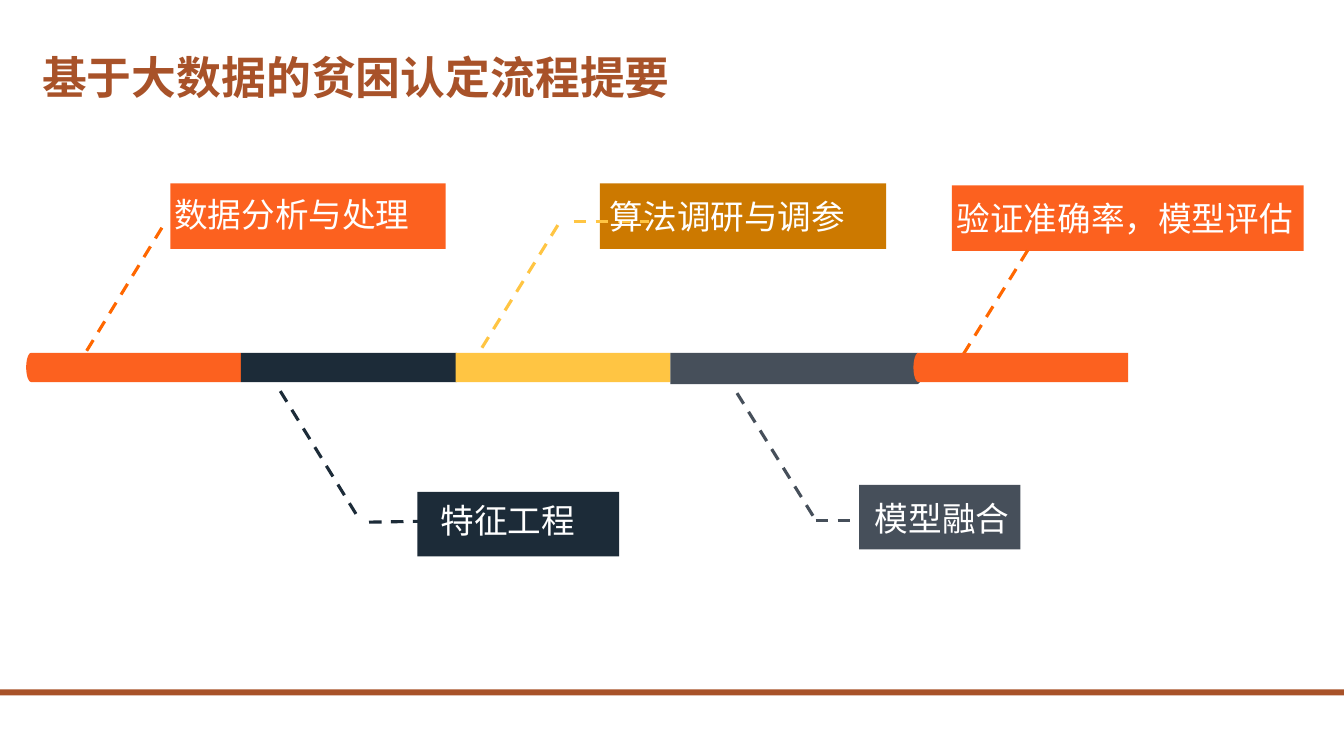
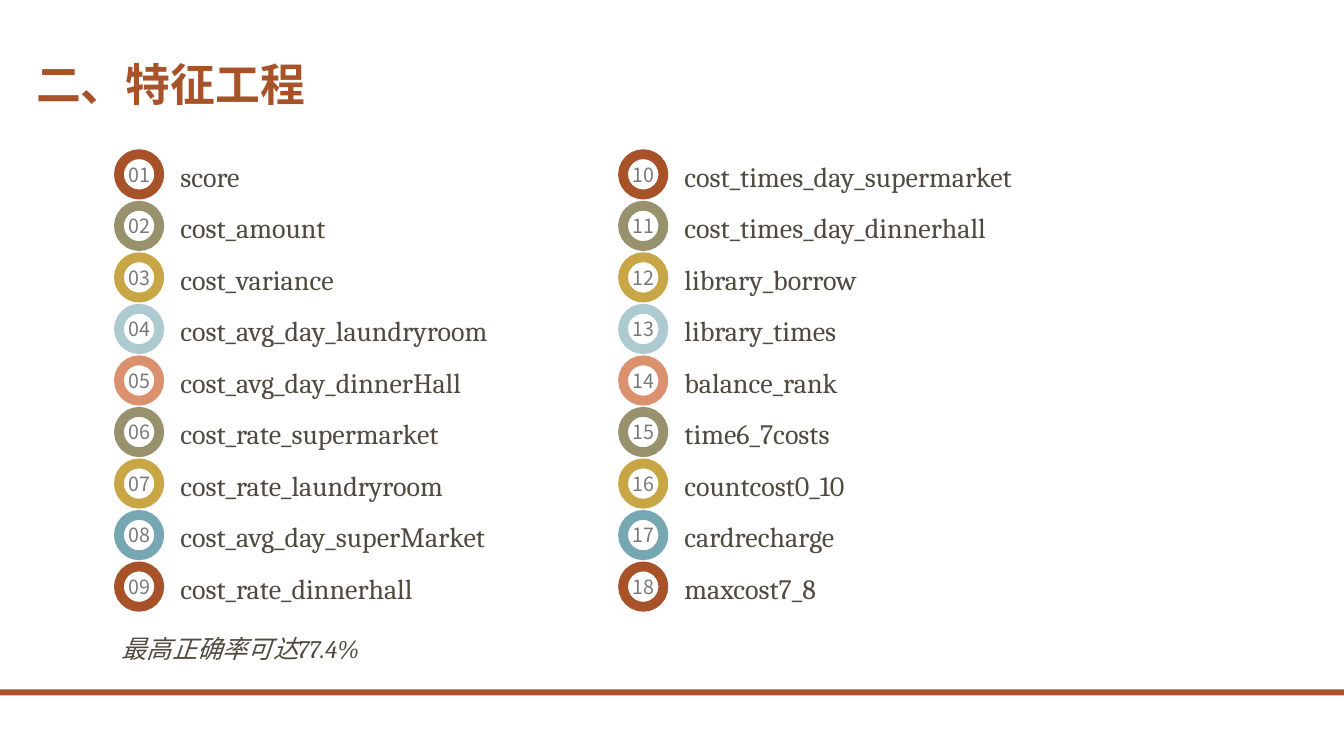
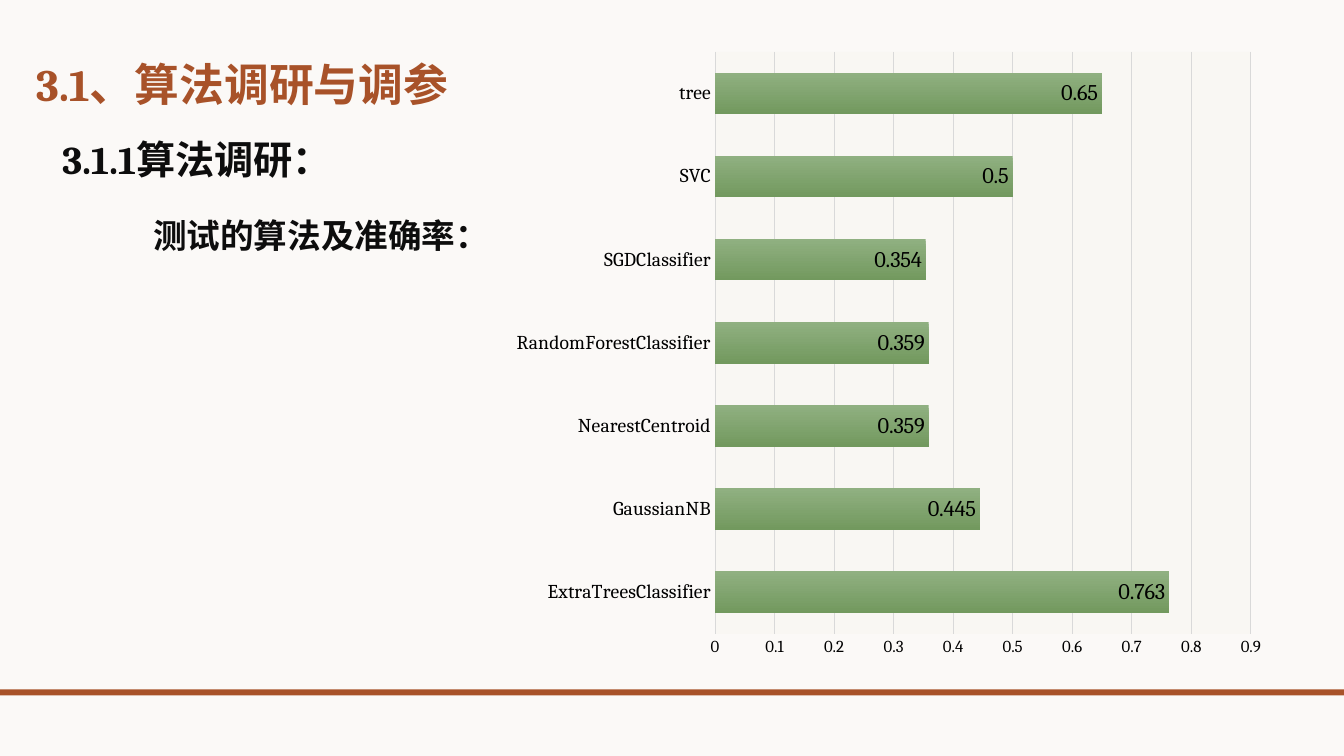
import math
from lxml import etree
from pptx import Presentation
from pptx import util as u
from pptx.chart import data as cd
from pptx.dml import color as dc
from pptx.enum import chart as ce, dml, shapes, text
from pptx.oxml import ns

RUST, ORANGE, FLAME, NAVY = "A85229", "FC611F", "FF6700", "1C2B38"
YELLOW, SLATE, AMBER = "FFC543", "464F5A", "CC7900"
OLIVE, GOLD, ICE, CORAL, TEAL = "98916E", "C9A645", "ADCAD1", "DC916E", "76A7B2"
WHITE, INK, BODY, GREY, GRID, PLOT = "FFFFFF", "0D0D0D", "514A40", "797979", "D9D9D9", "F9F7F3"
SERIF, SANS = "Cambria", "Noto Sans CJK SC"
RING_COLORS = [RUST, OLIVE, GOLD, ICE, CORAL, OLIVE, GOLD, TEAL, RUST]


def rgb(hex_color):
    return dc.RGBColor.from_string(hex_color)


def inches(*values):
    return [u.Inches(v) for v in values]


def paint(sp, fill, line=None, width=0):
    sp.shadow.inherit = False
    sp.fill.solid()
    sp.fill.fore_color.rgb = rgb(fill)
    if line:
        sp.line.color.rgb = rgb(line)
        sp.line.width = u.Pt(width)
    else:
        sp.line.fill.background()
    return sp


def add_box(s, at, fill, kind=shapes.MSO_SHAPE.RECTANGLE, **outline):
    return paint(s.shapes.add_shape(kind, *inches(*at)), fill, **outline)


def write(p, content, size=20, font=SERIF, color=BODY, bold=False, italic=False,
          align=text.PP_ALIGN.LEFT, spacing=None, before=0, indent=0):
    p.alignment = align
    if spacing:
        p.line_spacing = spacing
    if before:
        p.space_before = u.Pt(before)
    if indent:
        p._p.get_or_add_pPr().set("marL", str(u.Inches(indent)))
    r = p.add_run()
    r.text = content
    r.font.size, r.font.name = u.Pt(size), font
    r.font.bold, r.font.italic = bold, italic
    r.font.color.rgb = rgb(color)
    ea = etree.SubElement(r._r.get_or_add_rPr(), ns.qn("a:ea"))
    ea.set("typeface", SANS)


def add_text(s, at, content, anchor=text.MSO_ANCHOR.TOP, **style):
    tf = s.shapes.add_textbox(*inches(*at)).text_frame
    tf.word_wrap = True
    tf.vertical_anchor = anchor
    write(tf.paragraphs[0], content, **style)
    return tf


def add_dash(s, start, end, color):
    line = s.shapes.add_connector(shapes.MSO_CONNECTOR.STRAIGHT, *inches(*start, *end))
    line.line.color.rgb = rgb(color)
    line.line.width = u.Pt(2.25)
    line.line.dash_style = dml.MSO_LINE.DASH
    etree.SubElement(line._element.spPr, ns.qn("a:effectLst"))


def add_capped_bar(s, left, top, width, height, fill, cap_left=True):
    cap, steps = 0.05, 12
    points = [(width, 0)]
    for i in range(steps + 1):
        angle = math.pi * i / steps
        points.append((cap - cap * math.sin(angle), height / 2 * (1 - math.cos(angle))))
    points.append((width, height))
    if not cap_left:
        points = [(width - x, y) for x, y in points]
    points = [inches(left + x, top + y) for x, y in points]
    outline = s.shapes.build_freeform(*points[0])
    outline.add_line_segments(points[1:], close=True)
    paint(outline.convert_to_shape(), fill)


def new_slide(prs, title, left=0.26, top=0.39):
    s = prs.slides.add_slide(prs.slide_layouts[6])
    add_box(s, (0, 6.84, 13.33, 0.06), RUST)
    add_text(s, (left, top, 10.5, 0.76), title, anchor=text.MSO_ANCHOR.BOTTOM,
             size=32, color=RUST, bold=True, spacing=0.9)
    return s


def build_process(prs):
    s = new_slide(prs, "基于大数据的贫困认定流程提要", 0.32, 0.32)
    for at, fill in [((1.69, 1.82, 2.73, 0.65), ORANGE), ((9.44, 1.84, 3.49, 0.65), ORANGE),
                     ((4.14, 4.88, 2, 0.64), NAVY), ((5.95, 1.82, 2.84, 0.65), AMBER),
                     ((8.52, 4.81, 1.6, 0.64), SLATE)]:
        add_box(s, at, fill)
    for start, end, color in [((0.86, 3.48), (1.63, 2.22), FLAME),
                              ((2.78, 3.88), (3.55, 5.13), NAVY),
                              ((3.66, 5.18), (4.92, 5.16), NAVY),
                              ((4.78, 3.45), (5.56, 2.19), YELLOW),
                              ((5.69, 2.2), (6.44, 2.2), YELLOW),
                              ((7.31, 3.9), (8.09, 5.16), SLATE),
                              ((8.09, 5.16), (8.84, 5.16), SLATE),
                              ((9.44, 3.7), (10.22, 2.44), FLAME)]:
        add_dash(s, start, end, color)
    add_capped_bar(s, 0.26, 3.5, 2.13, 0.29, ORANGE)
    add_box(s, (2.39, 3.5, 2.14, 0.29), NAVY)
    add_box(s, (4.52, 3.5, 2.13, 0.29), YELLOW)
    add_capped_bar(s, 6.65, 3.5, 2.5, 0.31, SLATE, cap_left=False)
    add_capped_bar(s, 9.06, 3.5, 2.13, 0.29, ORANGE)
    for left, top, width, label in [(1.63, 1.87, 2.71, "数据分析与处理"),
                                    (4.27, 4.91, 1.6, "特征工程"),
                                    (5.95, 1.89, 2.6, "算法调研与调参"),
                                    (8.58, 4.89, 1.6, "模型融合"),
                                    (9.39, 1.91, 3.61, "验证准确率，模型评估")]:
        add_text(s, (left, top, width, 0.5), label, size=24, font=SANS, color=WHITE)


def add_ring(s, left, top, number, color):
    sp = add_box(s, (left, top, 0.4, 0.4), WHITE, shapes.MSO_SHAPE.OVAL, line=color, width=7)
    tf = sp.text_frame
    tf.margin_left = tf.margin_right = tf.margin_top = tf.margin_bottom = 0
    tf.vertical_anchor = text.MSO_ANCHOR.MIDDLE
    tf.word_wrap = True
    write(tf.paragraphs[0], f"{number:02}", size=14, font=SANS, color=GREY,
          align=text.PP_ALIGN.CENTER)


def build_features(prs):
    s = new_slide(prs, "二、特征工程")
    features = ["score", "cost_amount", "cost_variance", "cost_avg_day_laundryroom",
                "cost_avg_day_dinnerHall", "cost_rate_supermarket", "cost_rate_laundryroom",
                "cost_avg_day_superMarket", "cost_rate_dinnerhall",
                "cost_times_day_supermarket", "cost_times_day_dinnerhall", "library_borrow",
                "library_times", "balance_rank", "time6_7costs", "countcost0_10",
                "cardrecharge", "maxcost7_8"]
    rows = len(RING_COLORS)
    first, last = 1.53, 5.62
    for i, feature in enumerate(features):
        column, row = divmod(i, rows)
        left = 1.18 + 5 * column
        top = first + (last - first) * row / (rows - 1)
        add_ring(s, left, top, i + 1, RING_COLORS[row])
        add_text(s, (left + 0.51, top, 4.2, 0.4), feature)
    add_text(s, (1.11, 6.23, 3, 0.4), "最高正确率可达77.4%", size=18, italic=True)


def style_font(font, size, color="000000"):
    font.name, font.size = SERIF, u.Pt(size)
    font.color.rgb = rgb(color)


def add_accuracy_chart(s, at, accuracy):
    data = cd.CategoryChartData()
    data.categories = list(accuracy)
    data.add_series("Series 1", list(accuracy.values()))
    chart = s.shapes.add_chart(ce.XL_CHART_TYPE.BAR_CLUSTERED, *inches(*at), data).chart
    chart.has_title = chart.has_legend = False
    style_font(chart.font, 10, BODY)

    cat, val = chart.category_axis, chart.value_axis
    for axis, size in [(cat, 14), (val, 12)]:
        axis.major_tick_mark = axis.minor_tick_mark = ce.XL_TICK_MARK.NONE
        style_font(axis.tick_labels.font, size)
    cat.has_major_gridlines = False
    val.has_major_gridlines = True
    for line in (cat.format.line, val.major_gridlines.format.line):
        line.color.rgb = rgb(GRID)
        line.width = u.Pt(0.75)
    val.format.line.fill.background()
    val.minimum_scale, val.maximum_scale, val.major_unit = 0, 0.9, 0.1

    plot = chart.plots[0]
    plot.gap_width = 100
    plot.vary_by_categories = False
    plot.has_data_labels = True
    labels = plot.data_labels
    labels.show_value = True
    labels.position = ce.XL_LABEL_POSITION.INSIDE_END
    style_font(labels.font, 16)
    fill = plot.series[0].format.fill
    fill.gradient()
    fill.gradient_angle = 270
    for stop, color in zip(fill.gradient_stops, ("90B081", "72995E")):
        stop.color.rgb = rgb(color)

    area = chart._chartSpace.chart.plotArea
    props = etree.SubElement(area, ns.qn("c:spPr"))
    solid = etree.SubElement(props, ns.qn("a:solidFill"))
    etree.SubElement(solid, ns.qn("a:srgbClr")).set("val", PLOT)


def build_algorithms(prs):
    s = new_slide(prs, "3.1、算法调研与调参")
    s.background.fill.solid()
    s.background.fill.fore_color.rgb = rgb("FBF9F7")
    heading = {"color": INK, "bold": True, "spacing": 0.9}
    tf = add_text(s, (0.52, 1.35, 6.17, 1.31), "3.1.1算法调研：", size=28, **heading)
    write(tf.add_paragraph(), "测试的算法及准确率：", size=24, before=26, indent=0.9, **heading)
    add_accuracy_chart(s, (4.97, 0.39, 7.69, 6.25), {
        "ExtraTreesClassifier": 0.763, "GaussianNB": 0.445, "NearestCentroid": 0.359,
        "RandomForestClassifier": 0.359, "SGDClassifier": 0.354, "SVC": 0.5, "tree": 0.65})


def main():
    prs = Presentation()
    prs.slide_width, prs.slide_height = inches(13.33, 7.5)
    build_process(prs)
    build_features(prs)
    build_algorithms(prs)
    prs.save("out.pptx")


if __name__ == "__main__":
    main()
